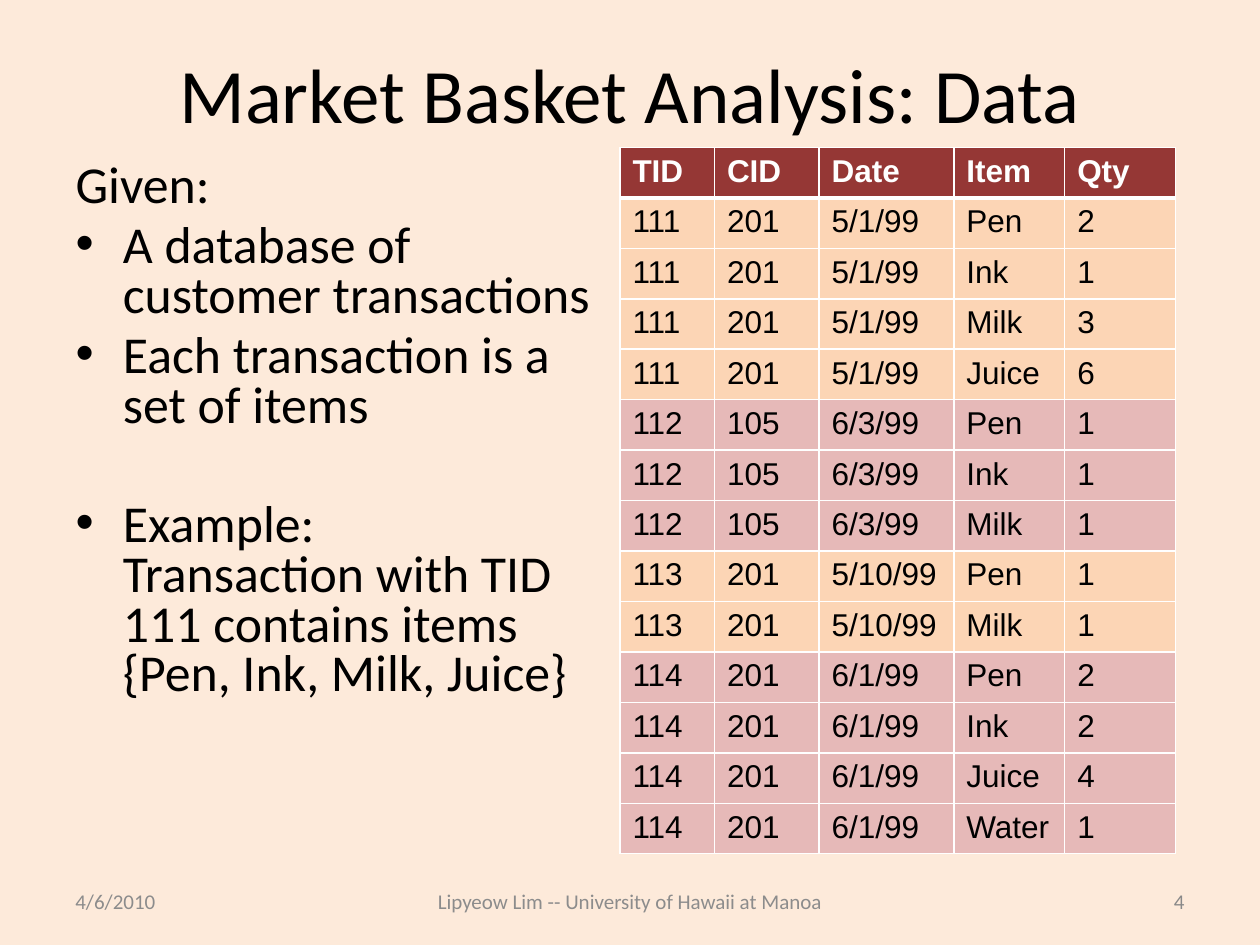
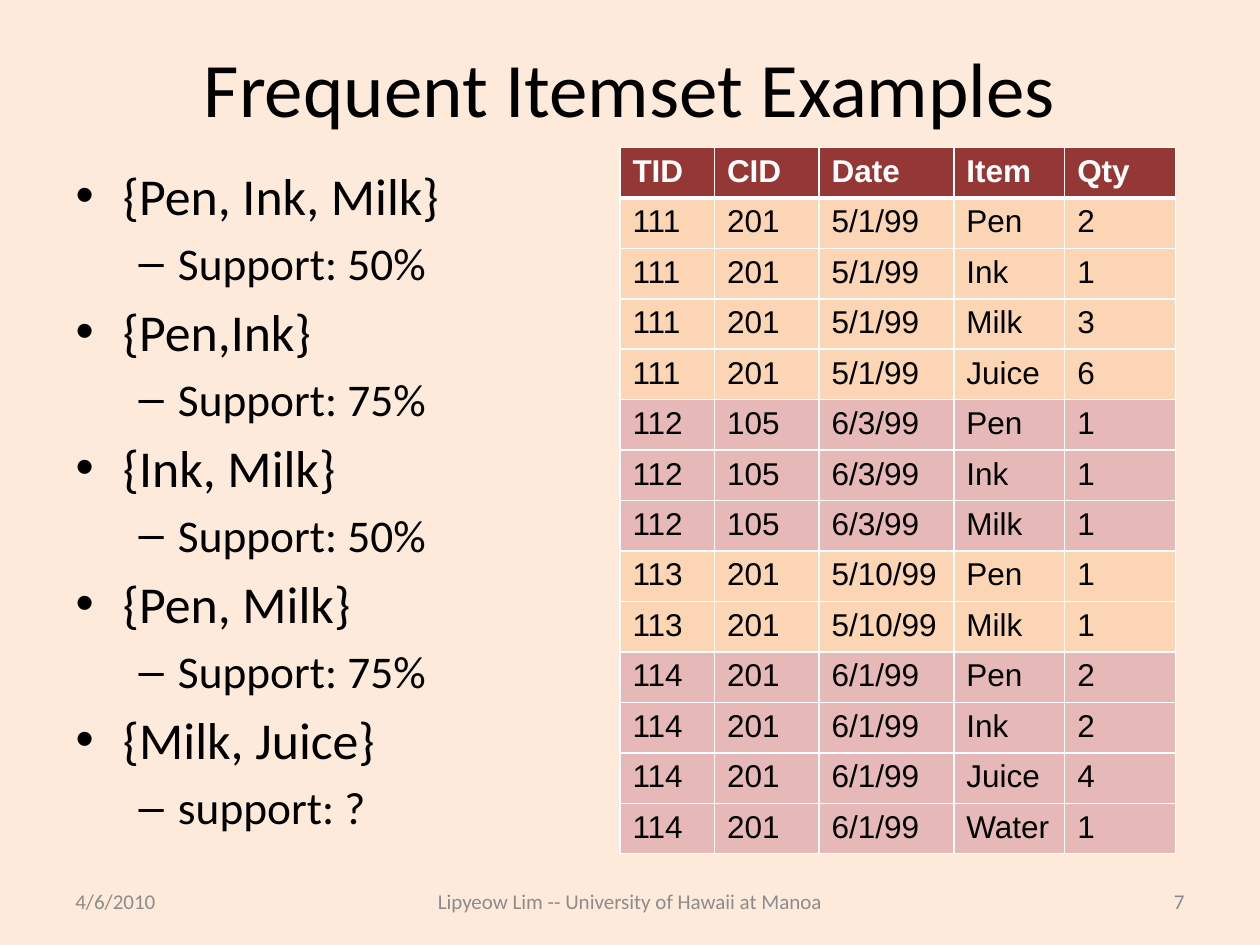
from lxml import etree
from pptx import Presentation
from pptx.dml.color import RGBColor
from pptx.enum.text import MSO_ANCHOR, MSO_AUTO_SIZE, PP_ALIGN
from pptx.oxml.ns import qn
from pptx.util import Inches, Pt

LEFT, CENTER, RIGHT = PP_ALIGN.LEFT, PP_ALIGN.CENTER, PP_ALIGN.RIGHT
MIDDLE = MSO_ANCHOR.MIDDLE
NO_AUTOFIT = MSO_AUTO_SIZE.NONE

CREAM, BLACK, WHITE = "FDEADA", "000000", "FFFFFF"
MAROON, ORANGE, PINK = "953735", "FCD5B5", "E6B9B8"
GREY, NUMBER_GREY = "8C8C8C", "898989"
BODY_SIZES = (29.6, 25.9)

DATE = "4/6/2010"
AUTHOR = "Lipyeow Lim -- University of Hawaii at Manoa"
HEADERS = ("TID", "CID", "Date", "Item", "Qty")
COLUMN_WIDTHS = (0.75, 0.83, 1.07, 0.88, 0.88)
ROW_HEIGHT = 0.4
TRANSACTIONS = (
    ("111", "201", "5/1/99", (("Pen", 2), ("Ink", 1), ("Milk", 3), ("Juice", 6))),
    ("112", "105", "6/3/99", (("Pen", 1), ("Ink", 1), ("Milk", 1))),
    ("113", "201", "5/10/99", (("Pen", 1), ("Milk", 1))),
    ("114", "201", "6/1/99", (("Pen", 2), ("Ink", 2), ("Juice", 4), ("Water", 1))),
)
ITEMSETS = (
    ("{Pen, Ink, Milk}", "Support: 50%"),
    ("{Pen,Ink}", "Support: 75%"),
    ("{Ink, Milk}", "Support: 50%"),
    ("{Pen, Milk}", "Support: 75%"),
    ("{Milk, Juice}", "support: ?"),
)


def rgb(color):
    return RGBColor.from_string(color)


def set_font(p, size, color, name="Calibri", bold=False):
    p.font.size = Pt(size)
    p.font.name = name
    p.font.bold = bold
    p.font.color.rgb = rgb(color)


def place(sp, left, top, width, height):
    sp.left, sp.top = Inches(left), Inches(top)
    sp.width, sp.height = Inches(width), Inches(height)


def add_title(slide, text, height):
    sp = slide.shapes.title
    place(sp, 0.5, 0.3, 9, height)
    tf = sp.text_frame
    tf.auto_size = NO_AUTOFIT
    tf.vertical_anchor = MIDDLE
    p = tf.paragraphs[0]
    p.text = text
    p.alignment = CENTER
    set_font(p, 44, BLACK)


def add_body(slide, lines, line_spacing):
    sp = slide.placeholders[1]
    place(sp, 0.5, 1.25, 4.33, 5.45)
    tf = sp.text_frame
    tf.auto_size = NO_AUTOFIT
    for i, (text, level) in enumerate(lines):
        p = tf.paragraphs[0] if i == 0 else tf.add_paragraph()
        p.text = text
        p.level = level
        p.line_spacing = line_spacing
        p.space_before = Pt(0.2 * BODY_SIZES[level] if i else 0)
        set_font(p, BODY_SIZES[level], BLACK)
    return tf.paragraphs


def remove_bullet(p):
    p._p.get_or_add_pPr().insert_element_before(
        etree.Element(qn("a:buNone")), "a:tabLst", "a:defRPr", "a:extLst")


def add_footer_text(slide, text, left, width, align, color=GREY):
    sp = slide.shapes.add_textbox(Inches(left), Inches(6.95), Inches(width), Inches(0.4))
    tf = sp.text_frame
    tf.word_wrap = True
    tf.vertical_anchor = MIDDLE
    p = tf.paragraphs[0]
    p.text = text
    p.alignment = align
    set_font(p, 12, color)


def add_footers(slide, number):
    add_footer_text(slide, DATE, 0.5, 2.33, LEFT)
    add_footer_text(slide, AUTHOR, 3, 4, CENTER)
    add_footer_text(slide, str(number), 7.17, 2.33, RIGHT, NUMBER_GREY)


def set_borders(cell, **widths):
    tcPr = cell._tc.get_or_add_tcPr()
    for i, side in enumerate("LRTB"):
        ln = etree.Element(qn(f"a:ln{side}"), w=str(Pt(widths.get(side, 1))))
        fill = etree.SubElement(ln, qn("a:solidFill"))
        etree.SubElement(fill, qn("a:srgbClr"), val=WHITE)
        tcPr.insert(i, ln)


def add_cell(cell, text, fill, color, bold=False):
    cell.fill.solid()
    cell.fill.fore_color.rgb = rgb(fill)
    p = cell.text_frame.paragraphs[0]
    p.text = text
    set_font(p, 18, color, "Arial", bold)


def add_transaction_table(slide):
    rows = [(tid, cid, date, item, str(qty))
            for tid, cid, date, items in TRANSACTIONS for item, qty in items]
    count = len(rows) + 1
    table = slide.shapes.add_table(
        count, len(HEADERS), Inches(4.92), Inches(1.17),
        Inches(sum(COLUMN_WIDTHS)), Inches(ROW_HEIGHT * count)).table
    for column, width in zip(table.columns, COLUMN_WIDTHS):
        column.width = Inches(width)
    for row in table.rows:
        row.height = Inches(ROW_HEIGHT)
    for c, header in enumerate(HEADERS):
        add_cell(table.cell(0, c), header, MAROON, WHITE, True)
        set_borders(table.cell(0, c), B=3)
    for r, values in enumerate(rows, 1):
        fill = ORANGE if int(values[0]) % 2 else PINK
        for c, value in enumerate(values):
            add_cell(table.cell(r, c), value, fill, BLACK)
            set_borders(table.cell(r, c), T=3 if r == 1 else 1)


def add_slide(prs, title, title_height, lines, line_spacing, number):
    slide = prs.slides.add_slide(prs.slide_layouts[1])
    add_title(slide, title, title_height)
    paragraphs = add_body(slide, lines, line_spacing)
    add_footers(slide, number)
    add_transaction_table(slide)
    return paragraphs


def main():
    prs = Presentation()
    prs.slide_width, prs.slide_height = Inches(10), Inches(7.5)
    background = prs.slide_master.background.fill
    background.solid()
    background.fore_color.rgb = rgb(CREAM)

    given = (
        ("Given:", 0),
        ("A database of customer transactions", 0),
        ("Each transaction is a set of items", 0),
        ("Example:\vTransaction with TID 111 contains items {Pen, Ink, Milk, Juice}", 0),
    )
    paragraphs = add_slide(prs, "Market Basket Analysis: Data", 0.87, given, 0.8, 4)
    remove_bullet(paragraphs[0])
    paragraphs[-1].space_before = Pt(40)

    supports = [(text, level) for pair in ITEMSETS for level, text in enumerate(pair)]
    add_slide(prs, "Frequent Itemset Examples", 0.78, supports, 1.0, 7)

    prs.save("out.pptx")


if __name__ == "__main__":
    main()
